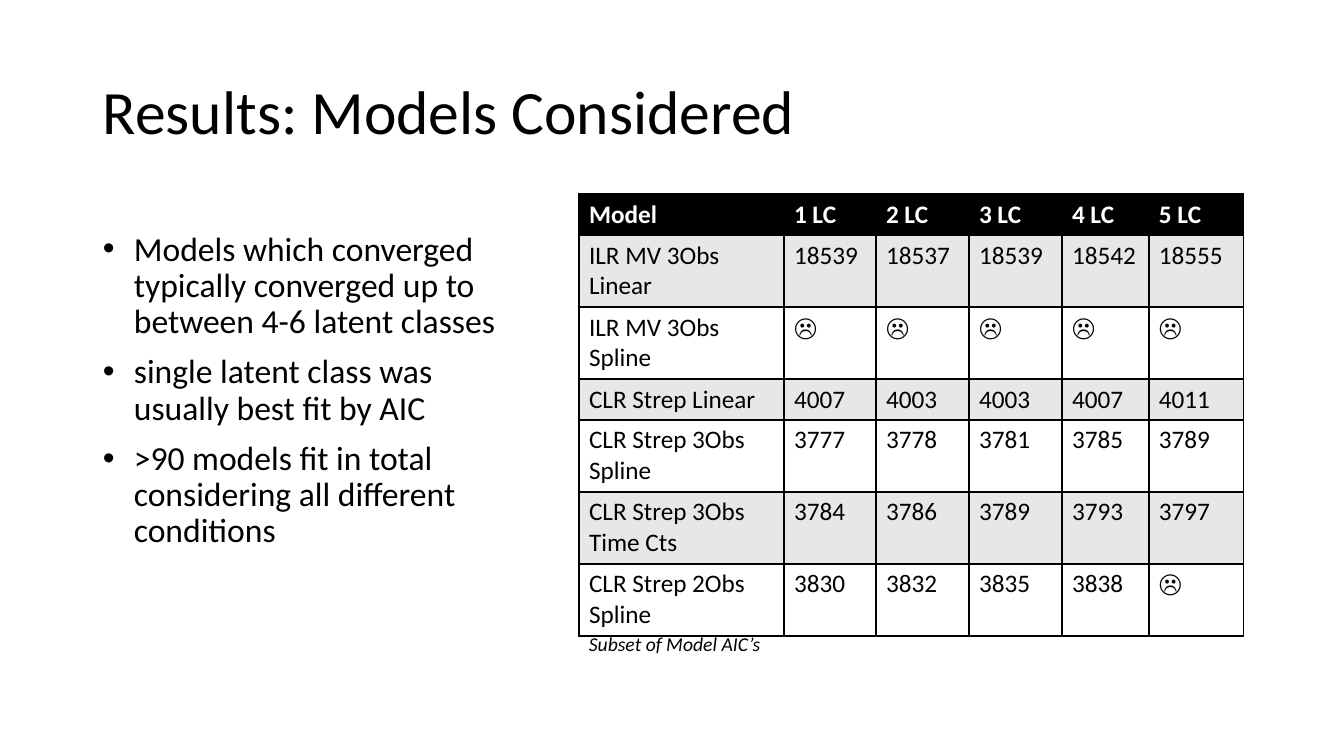
from lxml import etree
from pptx import Presentation
from pptx.dml.color import RGBColor
from pptx.enum.text import MSO_ANCHOR
from pptx.oxml.ns import qn
from pptx.util import Emu, Pt

BOTTOM, TOP = MSO_ANCHOR.BOTTOM, MSO_ANCHOR.TOP
BLACK = RGBColor(0x00, 0x00, 0x00)
WHITE = RGBColor(0xFF, 0xFF, 0xFF)
BAND = RGBColor(0xE7, 0xE7, 0xE7)
FONT = "Calibri"
SCALE = 914400 / 100.8


def px(*lengths):
    return [Emu(round(length * SCALE)) for length in lengths]


def add_span(para, text, size, color=BLACK, bold=False, italic=False):
    span = para.add_run()
    span.text = text
    span.font.name = FONT
    span.font.size = Pt(size)
    span.font.color.rgb = color
    span.font.bold = bold
    span.font.italic = italic


deck = Presentation()
deck.slide_width, deck.slide_height = px(1344, 756)
page = deck.slides.add_slide(deck.slide_layouts[6])

# Text frames: title, findings, table caption
frames = []
for place, anchor in (
    ((93, 65, 819, 88), BOTTOM),
    ((93, 227, 433, 400), TOP),
    ((579, 627, 407, 34), TOP),
):
    frame = page.shapes.add_textbox(*px(*place)).text_frame
    frame.word_wrap = True
    frame.vertical_anchor = anchor
    frames.append(frame)
title, findings, caption = frames

title.paragraphs[0].line_spacing = 0.9
add_span(title.paragraphs[0], "Results: Models Considered", 44)
add_span(caption.paragraphs[0], "Subset of Model AIC’s", 14, italic=True)

# Bulleted findings
FINDINGS = (
    "Models which converged typically converged up to between 4-6 latent classes",
    "single latent class was usually best fit by AIC",
    ">90 models fit in total considering all different conditions",
)
indent, = px(31)
for index, text in enumerate(FINDINGS):
    para = findings.add_paragraph() if index else findings.paragraphs[0]
    para.line_spacing = 0.9
    para.space_before = Pt(10)
    properties = para._p.get_or_add_pPr()
    properties.set("marL", str(indent))
    properties.set("indent", str(-indent))
    etree.SubElement(properties, qn("a:buFont"), typeface="Arial")
    etree.SubElement(properties, qn("a:buChar"), char="•")
    add_span(para, text, 24)

# AIC table
SAD = "☹"
ROWS = (
    ("Model", "1 LC", "2 LC", "3 LC", "4 LC", "5 LC"),
    ("ILR MV 3Obs Linear", "18539", "18537", "18539", "18542", "18555"),
    ("ILR MV 3Obs Spline", SAD, SAD, SAD, SAD, SAD),
    ("CLR Strep Linear", "4007", "4003", "4003", "4007", "4011"),
    ("CLR Strep 3Obs Spline", "3777", "3778", "3781", "3785", "3789"),
    ("CLR Strep 3Obs Time Cts", "3784", "3786", "3789", "3793", "3797"),
    ("CLR Strep 2Obs Spline", "3830", "3832", "3835", "3838", SAD),
)
WIDTHS = px(205, 92, 93, 93, 87, 95)
HEIGHTS = px(41, 72, 72, 41, 72, 72, 72)
left, top = px(579, 194)
table = page.shapes.add_table(
    len(ROWS), len(WIDTHS), left, top, sum(WIDTHS), sum(HEIGHTS)
).table
for column, width in zip(table.columns, WIDTHS):
    column.width = width
for row, height in zip(table.rows, HEIGHTS):
    row.height = height

for row_index, values in enumerate(ROWS):
    header = row_index == 0
    fill = BLACK if header else BAND if row_index % 2 else WHITE
    for column_index, value in enumerate(values):
        cell = table.cell(row_index, column_index)
        add_span(cell.text_frame.paragraphs[0], value, 18,
                 WHITE if header else BLACK, bold=header)
        # Borders come before the fill in the cell properties
        properties = cell._tc.get_or_add_tcPr()
        for side in ("a:lnL", "a:lnR", "a:lnT", "a:lnB"):
            line = etree.SubElement(properties, qn(side), w=str(Pt(1)))
            solid = etree.SubElement(line, qn("a:solidFill"))
            etree.SubElement(solid, qn("a:srgbClr"), val=str(BLACK))
        cell.fill.solid()
        cell.fill.fore_color.rgb = fill

deck.save("out.pptx")
